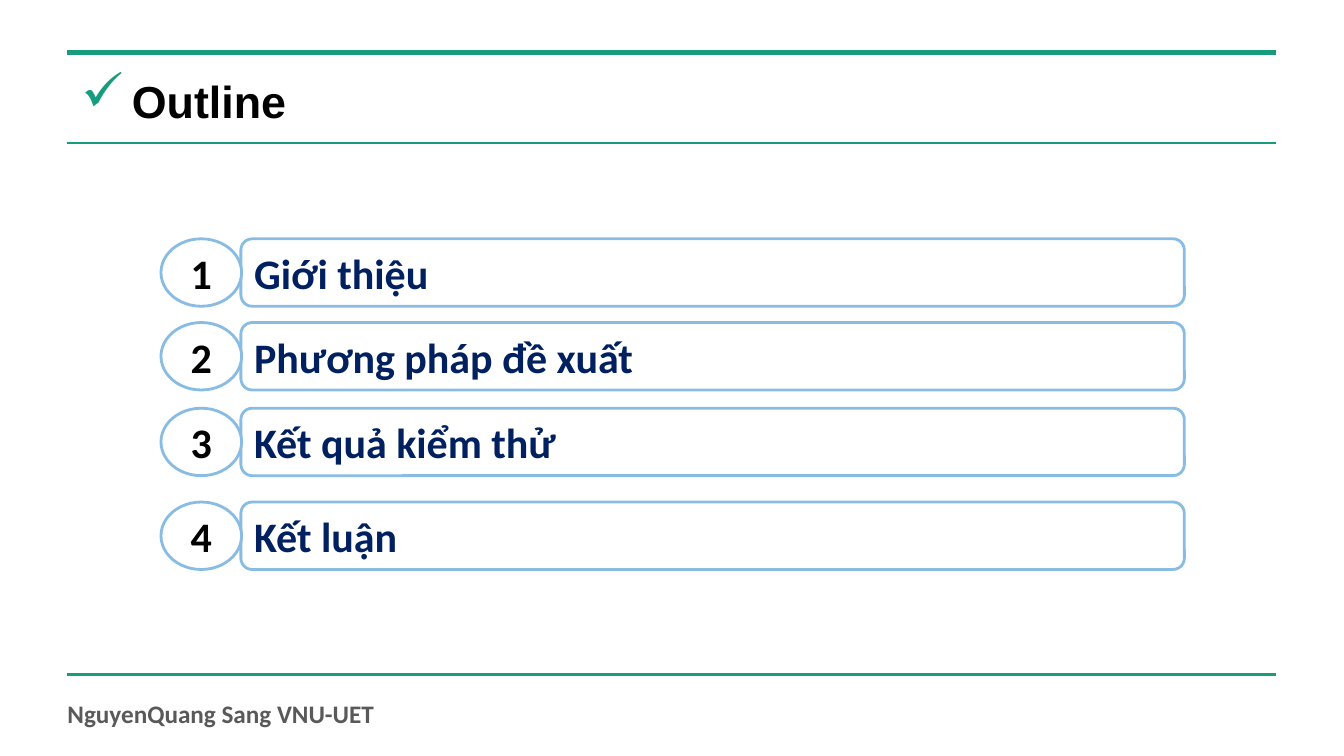
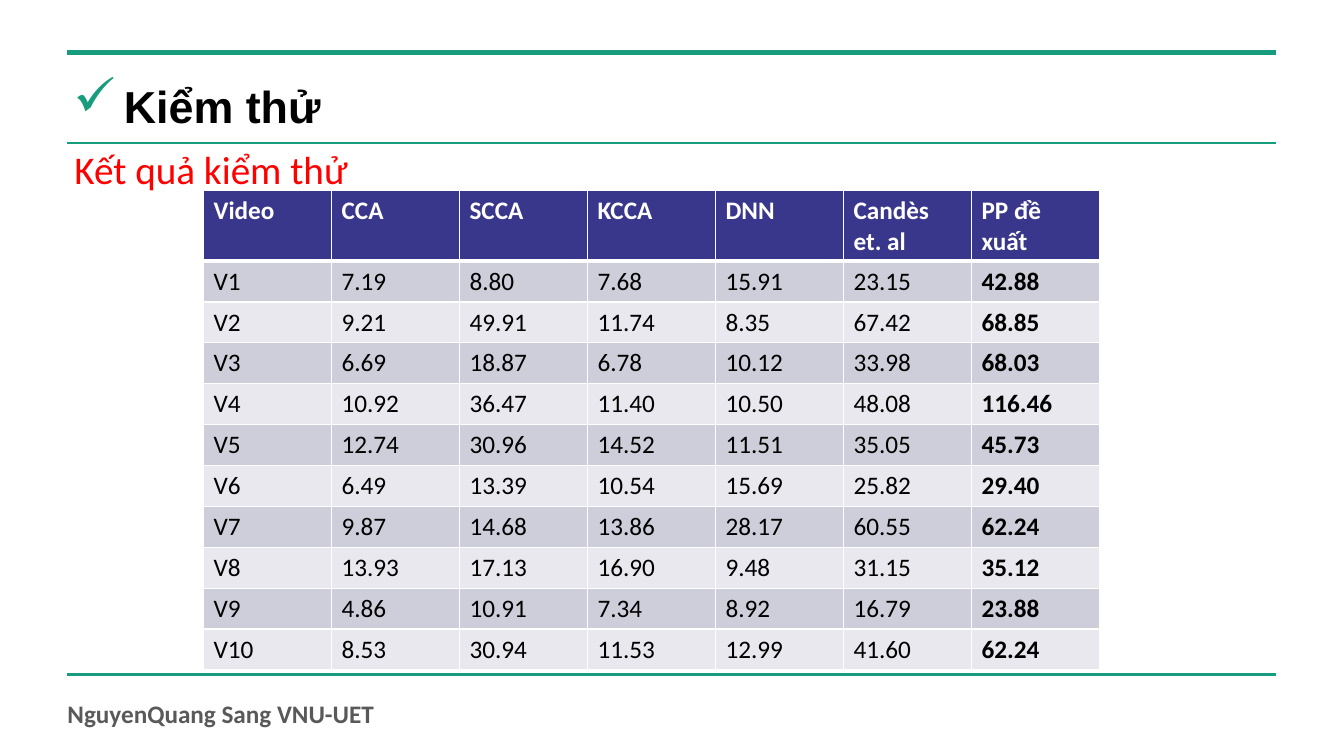
from dataclasses import dataclass

from lxml import etree
from pptx import Presentation
from pptx.dml.color import RGBColor
from pptx.enum.shapes import MSO_CONNECTOR, MSO_SHAPE
from pptx.enum.text import MSO_ANCHOR, PP_ALIGN
from pptx.oxml.ns import qn
from pptx.util import Pt

STRAIGHT = MSO_CONNECTOR.STRAIGHT
OVAL = MSO_SHAPE.OVAL
ROUNDED = MSO_SHAPE.ROUNDED_RECTANGLE
MIDDLE = MSO_ANCHOR.MIDDLE
LEFT = PP_ALIGN.LEFT
CENTER = PP_ALIGN.CENTER


@dataclass(frozen=True)
class Theme:
    heading_font: str = "Arial"
    body_font: str = "Calibri"
    white: str = "FFFFFF"
    black: str = "000000"
    green: str = "179C7D"
    gray: str = "595959"
    red: str = "FF0000"
    navy: str = "002060"
    outline: str = "88BCE2"
    header_fill: str = "39378B"
    odd_fill: str = "CECEDA"
    even_fill: str = "E8E8EE"
    title_size: int = 32
    item_size: int = 30
    subtitle_size: int = 28
    small_size: int = 18


THEME = Theme()

FRAME_LEFT, FRAME_RIGHT = 48.2, 911.5
FRAME_LINES = ((37.4, 4), (102.2, 1), (481.7, 2.5))
FOOTER = "NguyenQuang Sang VNU-UET"

OUTLINE_ITEMS = (
    ("Giới thiệu", 170.6),
    ("Phương pháp đề xuất", 230.4),
    ("Kết quả kiểm thử", 291.6),
    ("Kết luận", 358.6),
)

RESULT_HEADER = ("Video", "CCA", "SCCA", "KCCA", "DNN", "Candès et. al", "PP đề xuất")
RESULT_ROWS = (
    ("V1", "7.19", "8.80", "7.68", "15.91", "23.15", "42.88"),
    ("V2", "9.21", "49.91", "11.74", "8.35", "67.42", "68.85"),
    ("V3", "6.69", "18.87", "6.78", "10.12", "33.98", "68.03"),
    ("V4", "10.92", "36.47", "11.40", "10.50", "48.08", "116.46"),
    ("V5", "12.74", "30.96", "14.52", "11.51", "35.05", "45.73"),
    ("V6", "6.49", "13.39", "10.54", "15.69", "25.82", "29.40"),
    ("V7", "9.87", "14.68", "13.86", "28.17", "60.55", "62.24"),
    ("V8", "13.93", "17.13", "16.90", "9.48", "31.15", "35.12"),
    ("V9", "4.86", "10.91", "7.34", "8.92", "16.79", "23.88"),
    ("V10", "8.53", "30.94", "11.53", "12.99", "41.60", "62.24"),
)


def rgb(color):
    return RGBColor.from_string(color)


def write(frame, text, size, color, bold=False, font=THEME.body_font, align=LEFT):
    para = frame.paragraphs[0]
    para.text = text
    para.alignment = align
    para.font.name = font
    para.font.size = Pt(size)
    para.font.bold = bold
    para.font.color.rgb = rgb(color)


def add_text_box(page, left, top, width, height):
    box = page.shapes.add_textbox(Pt(left), Pt(top), Pt(width), Pt(height))
    box.text_frame.word_wrap = True
    return box.text_frame


def add_rule(page, top, weight):
    rule = page.shapes.add_connector(
        STRAIGHT, Pt(FRAME_LEFT), Pt(top), Pt(FRAME_RIGHT), Pt(top))
    rule.line.color.rgb = rgb(THEME.green)
    rule.line.width = Pt(weight)
    etree.SubElement(rule.element.spPr, qn("a:effectLst"))


def add_check_bullet(para):
    properties = para._p.get_or_add_pPr()
    properties.set("marL", str(Pt(36)))
    properties.set("indent", str(Pt(-36)))
    color = etree.SubElement(properties, qn("a:buClr"))
    etree.SubElement(color, qn("a:srgbClr"), val=THEME.green)
    etree.SubElement(properties, qn("a:buSzPct"), val="120000")
    etree.SubElement(properties, qn("a:buChar"), char="✓")


def add_title(page, text, left, top, width):
    frame = add_text_box(page, left, top, width, 72)
    add_check_bullet(frame.paragraphs[0])
    write(frame, text, THEME.title_size, THEME.black, True, THEME.heading_font)


def add_page(deck):
    page = deck.slides.add_slide(deck.slide_layouts[6])
    for top, weight in FRAME_LINES:
        add_rule(page, top, weight)
    frame = add_text_box(page, FRAME_LEFT, 499, 345.6, 33.8)
    frame.margin_left = frame.margin_right = 0
    frame.margin_top = frame.margin_bottom = 0
    write(frame, FOOTER, THEME.small_size, THEME.gray, True)
    return page


def add_outlined_shape(group, kind, left, top, width, text, color, align):
    shape = group.shapes.add_shape(kind, Pt(left), Pt(top), Pt(width), Pt(48.2))
    shape.shadow.inherit = False
    shape.fill.solid()
    shape.fill.fore_color.rgb = rgb(THEME.white)
    shape.line.color.rgb = rgb(THEME.outline)
    shape.line.width = Pt(2)
    shape.text_frame.word_wrap = True
    shape.text_frame.vertical_anchor = MIDDLE
    write(shape.text_frame, text, THEME.item_size, color, True, align=align)


def add_outline_item(page, number, text, top):
    group = page.shapes.add_group_shape()
    add_outlined_shape(group, ROUNDED, 172.1, top, 673.9, text, THEME.navy, LEFT)
    add_outlined_shape(group, OVAL, 115, top, 57.6, str(number), THEME.black, CENTER)


def add_cell_borders(cell, bottom):
    properties = cell._tc.get_or_add_tcPr()
    for side, weight in (("L", 1), ("R", 1), ("T", 1), ("B", bottom)):
        border = etree.SubElement(properties, qn(f"a:ln{side}"), w=str(Pt(weight)))
        fill = etree.SubElement(border, qn("a:solidFill"))
        etree.SubElement(fill, qn("a:srgbClr"), val=THEME.white)


def fill_cell(cell, text, fill, color, bold, bottom):
    add_cell_borders(cell, bottom)
    cell.fill.solid()
    cell.fill.fore_color.rgb = rgb(fill)
    write(cell.text_frame, text, THEME.small_size, color, bold)


def add_result_table(page):
    rows = (RESULT_HEADER,) + RESULT_ROWS
    last_column = len(RESULT_HEADER) - 1
    table = page.shapes.add_table(
        len(rows), len(RESULT_HEADER), Pt(145.4), Pt(136.1), Pt(640), Pt(342.4)).table
    table.horz_banding = False
    for row_index, values in enumerate(rows):
        header = row_index == 0
        table.rows[row_index].height = Pt(50.4 if header else 29.2)
        band = THEME.odd_fill if row_index % 2 else THEME.even_fill
        fill = THEME.header_fill if header else band
        color = THEME.white if header else THEME.black
        # header_bottom = 3
        for column, value in enumerate(values):
            fill_cell(table.cell(row_index, column), value, fill, color,
                      header or column == last_column, 3 if header else 1)


def build_outline(deck):
    page = add_page(deck)
    add_title(page, "Outline", 51.1, 49, 858.2)
    for number, (text, top) in enumerate(OUTLINE_ITEMS, 1):
        add_outline_item(page, number, text, top)


def build_results(deck):
    page = add_page(deck)
    add_title(page, "Kiểm thử", 45.4, 52.6, 647.3)
    frame = add_text_box(page, 46.1, 100.1, 211.7, 41)
    frame.word_wrap = False
    write(frame, "Kết quả kiểm thử", THEME.subtitle_size, THEME.red)
    add_result_table(page)


def main():
    deck = Presentation()
    deck.slide_width = Pt(960)
    deck.slide_height = Pt(540)
    build_outline(deck)
    build_results(deck)
    deck.save("out.pptx")


if __name__ == "__main__":
    main()
